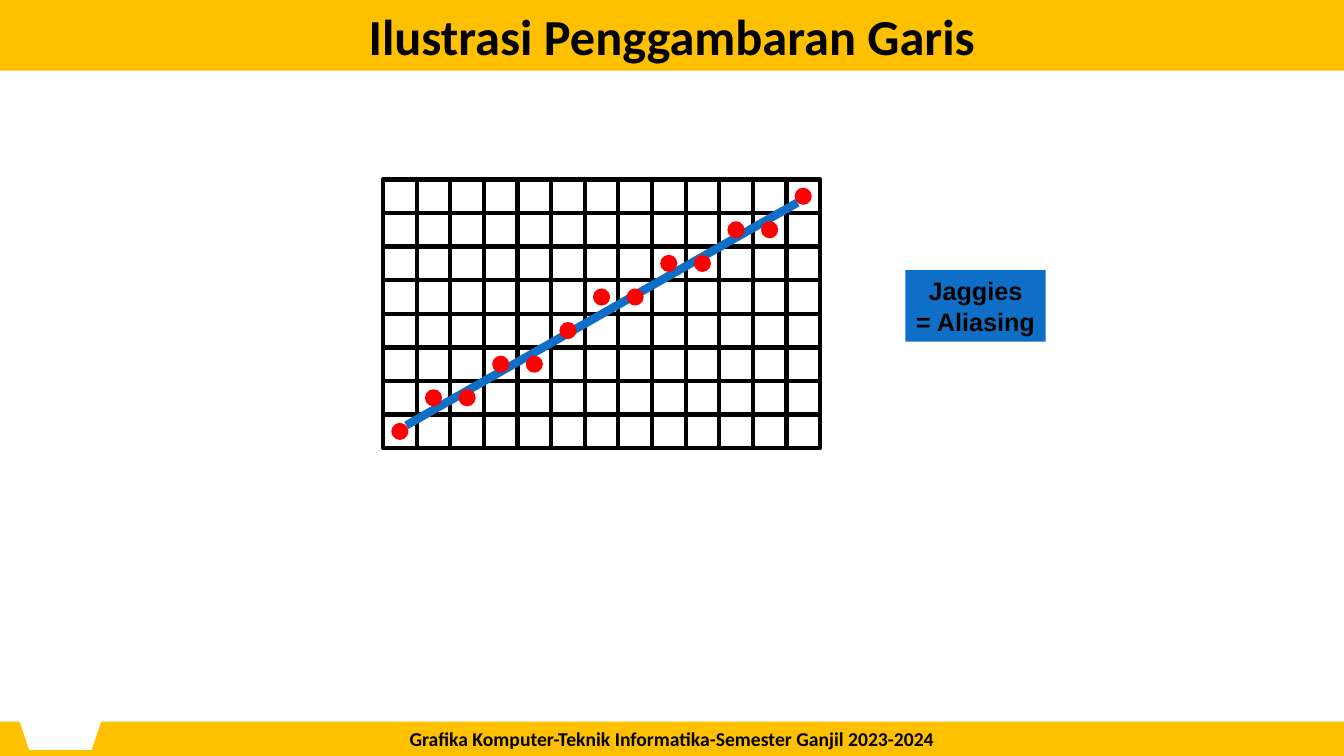
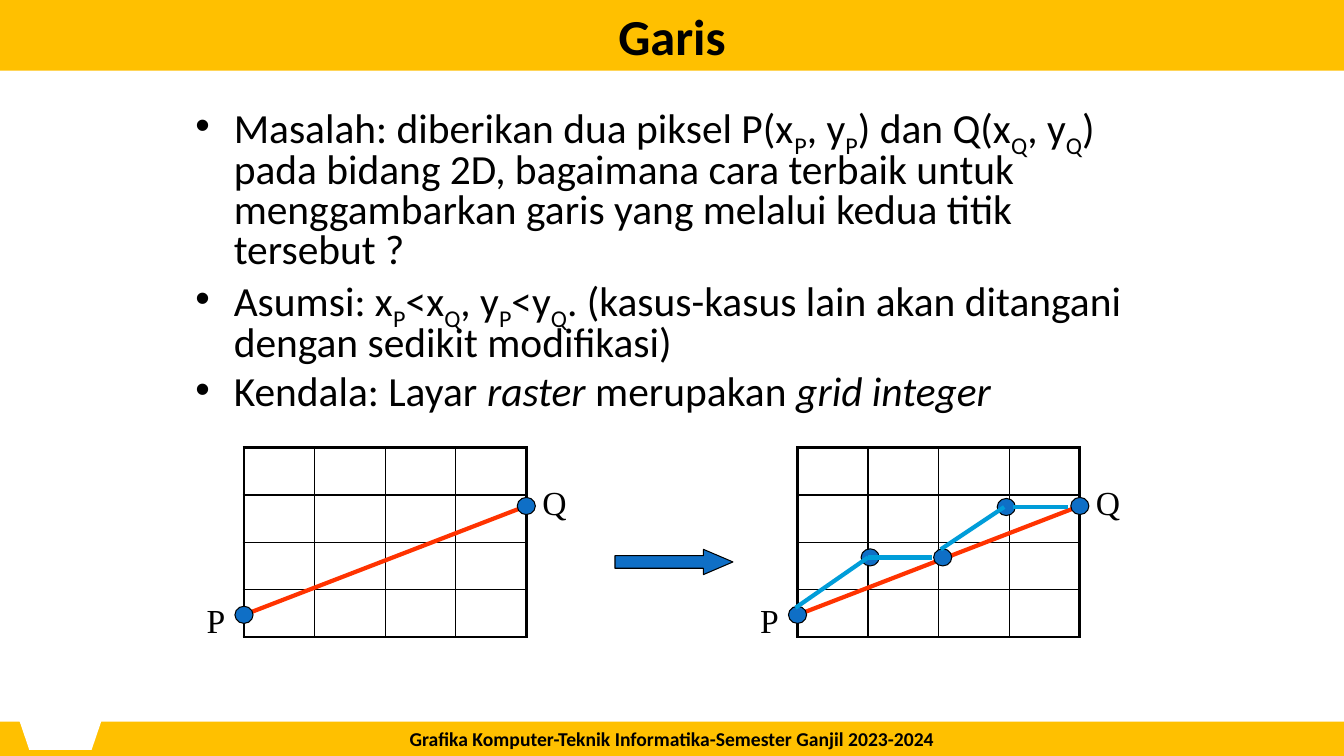
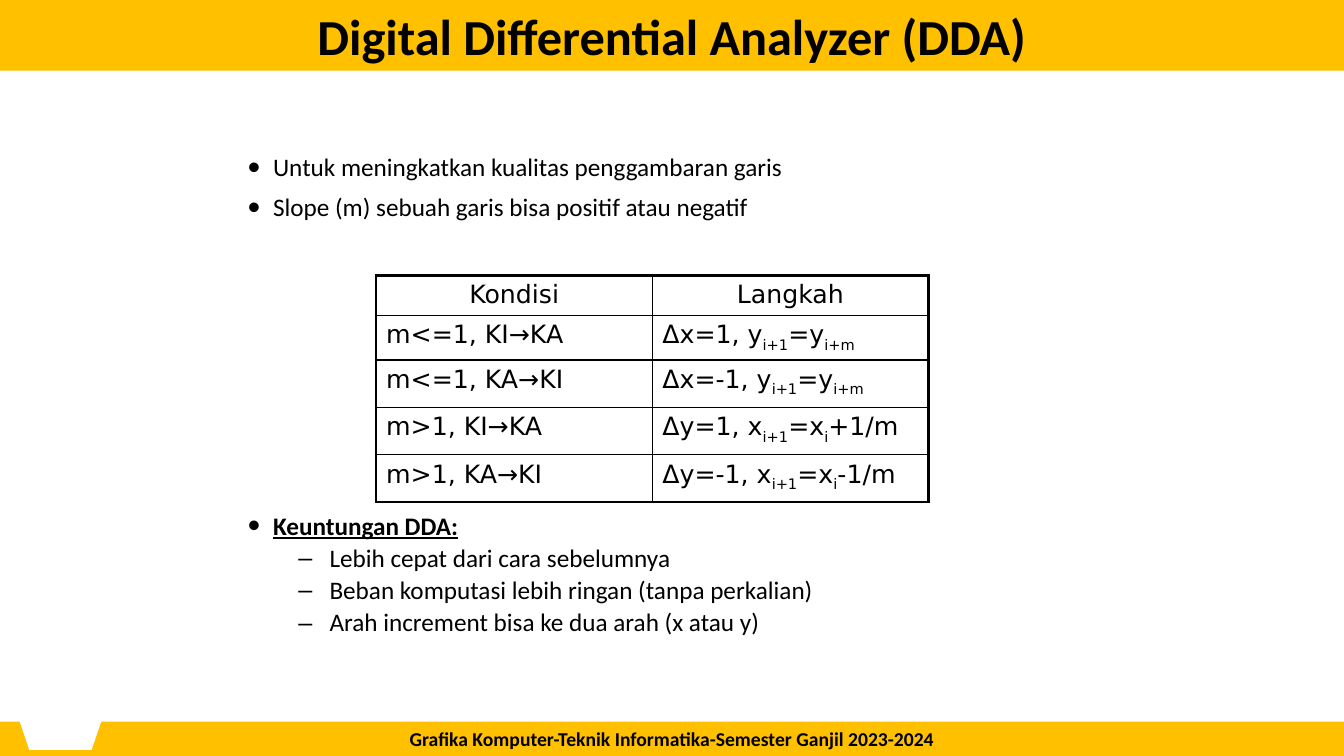
"""Three lecture slides on line drawing: rasterised line, problem statement and DDA."""
from lxml.etree import SubElement
from pptx import Presentation
from pptx.dml.color import RGBColor
from pptx.enum.shapes import MSO_CONNECTOR, MSO_SHAPE
from pptx.enum.text import MSO_ANCHOR, MSO_AUTO_SIZE, PP_ALIGN
from pptx.oxml.ns import qn
from pptx.util import Inches, Pt

AMBER = RGBColor(0xFF, 0xC0, 0x00)
BLACK = RGBColor(0x00, 0x00, 0x00)
WHITE = RGBColor(0xFF, 0xFF, 0xFF)
RED = RGBColor(0xFF, 0x00, 0x00)
ORANGE = RGBColor(0xFF, 0x33, 0x00)
BLUE = RGBColor(0x0F, 0x6F, 0xC6)
CYAN = RGBColor(0x00, 0x9D, 0xD9)

WIDTH, HEIGHT = 13.33, 7.5
TITLE_HEIGHT, FOOTER_HEIGHT = 0.7, 0.34
FOOTER = "Grafika Komputer-Teknik Informatika-Semester Ganjil 2023-2024"

RASTER_LEFT, RASTER_TOP, CELL = 3.8, 1.78, 1 / 3
RASTER_COLS, RASTER_ROWS = 13, 8
PIXEL_ROWS = [7, 6, 6, 5, 5, 4, 3, 3, 2, 2, 1, 1, 0]
JAGGIES = ["Jaggies", "= Aliasing"]

PROBLEM = [
    ["Masalah: diberikan dua piksel P(x", ("P", "sub"), ", y", ("P", "sub"),
     ") dan Q(x", ("Q", "sub"), ", y", ("Q", "sub"),
     ") pada bidang 2D, bagaimana cara terbaik untuk menggambarkan garis "
     "yang melalui kedua titik tersebut ?"],
    ["Asumsi: x", ("P", "sub"), "<x", ("Q", "sub"), ", y", ("P", "sub"),
     "<y", ("Q", "sub"), ". (kasus-kasus lain akan ditangani dengan sedikit modifikasi)"],
    ["Kendala: Layar ", ("raster", "italic"), " merupakan ", ("grid integer", "italic")],
]
PANEL_LEFTS = [2.42, 7.91]
PANEL_TOP, PANEL_COL, PANEL_ROW, PANEL_CELLS = 4.44, 0.7, 0.47, 4
P_Y, Q_Y = 6.1, 5.02
STEP_PIXELS = [(8.63, 5.53), (9.35, 5.53), (9.98, 5.03)]
STEP_LINES = [((7.89, 6.03), (8.61, 5.53)), ((8.61, 5.53), (9.24, 5.53)),
              ((9.33, 5.45), (9.96, 5.03)), ((10.05, 5.03), (10.59, 5.03))]

DDA_POINTS = [
    (["Untuk meningkatkan kualitas penggambaran garis"], "point", 9),
    (["Slope (m) sebuah garis bisa positif atau negatif"], "point", 9),
    ([("Keuntungan DDA:", "heading")], "point", 208),
    (["Lebih cepat dari cara sebelumnya"], "detail", 3.6),
    (["Beban komputasi lebih ringan (tanpa perkalian)"], "detail", 3.6),
    (["Arah increment bisa ke dua arah (x atau y)"], "detail", 3.6),
]
DDA_BULLETS = {"point": ("•", 0.25, 0.25, 140), "detail": ("–", 0.81, 0.31, 100)}
DDA_STEPS = [
    (["Kondisi"], ["Langkah"]),
    (["m<=1, KI→KA"], ["Δx=1, y", ("i+1", "sub"), "=y", ("i+m", "sub")]),
    (["m<=1, KA→KI"], ["Δx=-1, y", ("i+1", "sub"), "=y", ("i+m", "sub")]),
    (["m>1, KI→KA"], ["Δy=1, x", ("i+1", "sub"), "=x", ("i", "sub"), "+1/m"]),
    (["m>1, KA→KI"], ["Δy=-1, x", ("i+1", "sub"), "=x", ("i", "sub"), "-1/m"]),
]


def write_runs(paragraph, parts, size, font="Calibri", bold=None):
    for part in parts:
        text, style = (part, None) if isinstance(part, str) else part
        run = paragraph.add_run()
        run.text = text
        run.font.size, run.font.name, run.font.bold = Pt(size), font, bold
        run.font.color.rgb = BLACK
        if style == "sub":
            run._r.get_or_add_rPr().set("baseline", "-25000")
        elif style == "italic":
            run.font.italic = True
        elif style == "heading":
            run.font.bold = run.font.underline = True


def set_bullet(paragraph, char, margin, hanging, percent=100):
    props = paragraph._p.get_or_add_pPr()
    props.set("marL", str(Inches(margin)))
    props.set("indent", str(-Inches(hanging)))
    SubElement(props, qn("a:buSzPct")).set("val", str(percent * 1000))
    SubElement(props, qn("a:buFont")).set("typeface", "Arial")
    SubElement(props, qn("a:buChar")).set("char", char)


def add_box(slide, kind, left, top, width, height, fill=None, line=None, weight=0.75):
    box = slide.shapes.add_shape(kind, Inches(left), Inches(top), Inches(width), Inches(height))
    box.shadow.inherit = False
    if fill is None:
        box.fill.background()
    else:
        box.fill.solid()
        box.fill.fore_color.rgb = fill
    if line is None:
        box.line.fill.background()
    else:
        box.line.color.rgb = line
        box.line.width = Pt(weight)
    return box


def add_dot(slide, x, y, width, height, fill, line=None):
    return add_box(slide, MSO_SHAPE.OVAL, x - width / 2, y - height / 2, width, height, fill, line)


def add_line(slide, start, end, color, weight):
    line = slide.shapes.add_connector(
        MSO_CONNECTOR.STRAIGHT, *[Inches(value) for value in (*start, *end)])
    line.line.color.rgb = color
    line.line.width = Pt(weight)
    SubElement(line._element.spPr, qn("a:effectLst"))
    return line


def add_text(slide, left, top, width, height, wrap=True):
    box = slide.shapes.add_textbox(Inches(left), Inches(top), Inches(width), Inches(height))
    box.text_frame.word_wrap = wrap
    return box.text_frame


def add_table(slide, left, top, col_widths, row_heights):
    """Add an unfilled table with thin inner and thick outer borders."""
    rows, cols = len(row_heights), len(col_widths)
    table = slide.shapes.add_table(
        rows, cols, Inches(left), Inches(top),
        Inches(sum(col_widths)), Inches(sum(row_heights))).table
    table.first_row = table.horz_banding = False
    for column, width in zip(table.columns, col_widths):
        column.width = Inches(width)
    for row, height in zip(table.rows, row_heights):
        row.height = Inches(height)
    for r in range(rows):
        for c in range(cols):
            cell = table.cell(r, c)
            cell.fill.background()
            props = cell._tc.get_or_add_tcPr()
            outer = {"L": c == 0, "R": c == cols - 1, "T": r == 0, "B": r == rows - 1}
            for place, (side, is_outer) in enumerate(outer.items()):
                border = SubElement(props, qn(f"a:ln{side}"))
                border.set("w", str(Pt(2.25 if is_outer else 1)))
                fill = SubElement(border, qn("a:solidFill"))
                SubElement(fill, qn("a:srgbClr")).set("val", str(BLACK))
                props.insert(place, border)
    return table


def add_titled_slide(deck, title):
    slide = deck.slides.add_slide(deck.slide_layouts[5])
    band = slide.shapes.title
    band.left, band.top = Inches(0), Inches(0)
    band.width, band.height = Inches(WIDTH), Inches(TITLE_HEIGHT)
    band.fill.solid()
    band.fill.fore_color.rgb = AMBER
    frame = band.text_frame
    frame.auto_size = MSO_AUTO_SIZE.NONE
    frame.vertical_anchor = MSO_ANCHOR.MIDDLE
    frame.paragraphs[0].alignment = PP_ALIGN.CENTER
    write_runs(frame.paragraphs[0], [title], 36, bold=True)
    return slide


def move_footer_to_layout(slide):
    """Draw the footer band once and hand it to the layout that all slides use."""
    band = add_box(slide, MSO_SHAPE.RECTANGLE, 0, HEIGHT - FOOTER_HEIGHT,
                   WIDTH, FOOTER_HEIGHT, AMBER)
    paragraph = band.text_frame.paragraphs[0]
    paragraph.alignment = PP_ALIGN.CENTER
    write_runs(paragraph, [FOOTER], 14, bold=True)
    notch = add_box(slide, MSO_SHAPE.REGULAR_PENTAGON, 0.1, 6.53, 1, 0.91, WHITE)
    for part in (band, notch):
        slide.slide_layout.shapes.element.append(part._element)


def build_raster(slide):
    right, bottom = RASTER_LEFT + RASTER_COLS * CELL, RASTER_TOP + RASTER_ROWS * CELL
    frame = add_box(slide, MSO_SHAPE.RECTANGLE, RASTER_LEFT, RASTER_TOP,
                    RASTER_COLS * CELL, RASTER_ROWS * CELL, line=BLACK, weight=3)
    for col in range(1, RASTER_COLS):
        x = RASTER_LEFT + col * CELL
        add_line(slide, (x, RASTER_TOP), (x, bottom), BLACK, 3)
    for row in range(1, RASTER_ROWS):
        y = RASTER_TOP + row * CELL
        rule = add_line(slide, (RASTER_LEFT, y), (right, y), BLACK, 3)
        if row * 2 == RASTER_ROWS:
            rule.begin_connect(frame, 1)
            rule.end_connect(frame, 3)
    add_line(slide, (4.03, 4.22), (7.91, 2.01), BLUE, 6)
    for col, row in enumerate(PIXEL_ROWS):
        add_dot(slide, RASTER_LEFT + (col + 0.5) * CELL, RASTER_TOP + (row + 0.5) * CELL,
                0.17, 0.17, RED)

    label = add_box(slide, MSO_SHAPE.RECTANGLE, 8.98, 2.68, 1.39, 0.71, BLUE).text_frame
    label.word_wrap = False
    label.vertical_anchor = MSO_ANCHOR.MIDDLE
    for index, text in enumerate(JAGGIES):
        paragraph = label.add_paragraph() if index else label.paragraphs[0]
        paragraph.alignment = PP_ALIGN.CENTER
        write_runs(paragraph, [text], 18, "Arial", bold=True)


def build_problem(slide):
    body = add_text(slide, 1.84, 1.02, 9.75, 3.23)
    for index, parts in enumerate(PROBLEM):
        paragraph = body.add_paragraph() if index else body.paragraphs[0]
        paragraph.line_spacing, paragraph.space_before = 0.8, Pt(6)
        set_bullet(paragraph, "•", 0.38, 0.38)
        write_runs(paragraph, parts, 29.6)

    for left in PANEL_LEFTS:
        right = left + PANEL_COL * PANEL_CELLS
        add_table(slide, left, PANEL_TOP, [PANEL_COL] * PANEL_CELLS, [PANEL_ROW] * PANEL_CELLS)
        add_line(slide, (left, P_Y), (right, Q_Y), ORANGE, 3)
        for x, y in ((right, Q_Y), (left, P_Y)):
            add_dot(slide, x, y, 0.18, 0.17, BLUE, BLACK)
        for name, x, y, width in (("P", left - 0.47, 5.9, 0.39), ("Q", right + 0.06, 4.73, 0.45)):
            label = add_text(slide, x, y, width, 0.5, wrap=False)
            write_runs(label.paragraphs[0], [name], 24, "Times New Roman")

    for x, y in STEP_PIXELS:
        add_dot(slide, x, y, 0.18, 0.17, BLUE, BLACK)
    for start, end in STEP_LINES:
        add_line(slide, start, end, CYAN, 3)
    arrow = add_box(slide, MSO_SHAPE.RIGHT_ARROW, 6.1, 5.45, 1.17, 0.25, BLUE, BLACK)
    arrow.adjustments[1] = 1.17


def build_dda(slide):
    body = add_text(slide, 2.36, 1.49, 9.41, 5.36)
    for index, (parts, level, gap) in enumerate(DDA_POINTS):
        paragraph = body.add_paragraph() if index else body.paragraphs[0]
        paragraph.line_spacing, paragraph.space_before = 0.9, Pt(gap)
        set_bullet(paragraph, *DDA_BULLETS[level])
        write_runs(paragraph, parts, 18)

    table = add_table(slide, 3.73, 2.73, [2.74] * 2, [0.39, 0.43, 0.47, 0.47, 0.47])
    for r, step in enumerate(DDA_STEPS):
        for c, parts in enumerate(step):
            paragraph = table.cell(r, c).text_frame.paragraphs[0]
            paragraph.alignment = PP_ALIGN.LEFT if r else PP_ALIGN.CENTER
            write_runs(paragraph, parts, 18, "DejaVu Sans")


def main():
    deck = Presentation()
    deck.slide_width, deck.slide_height = Inches(WIDTH), Inches(HEIGHT)
    raster = add_titled_slide(deck, "Ilustrasi Penggambaran Garis")
    move_footer_to_layout(raster)
    build_raster(raster)
    build_problem(add_titled_slide(deck, "Garis"))
    build_dda(add_titled_slide(deck, "Digital Differential Analyzer (DDA)"))
    deck.save("out.pptx")


if __name__ == "__main__":
    main()
